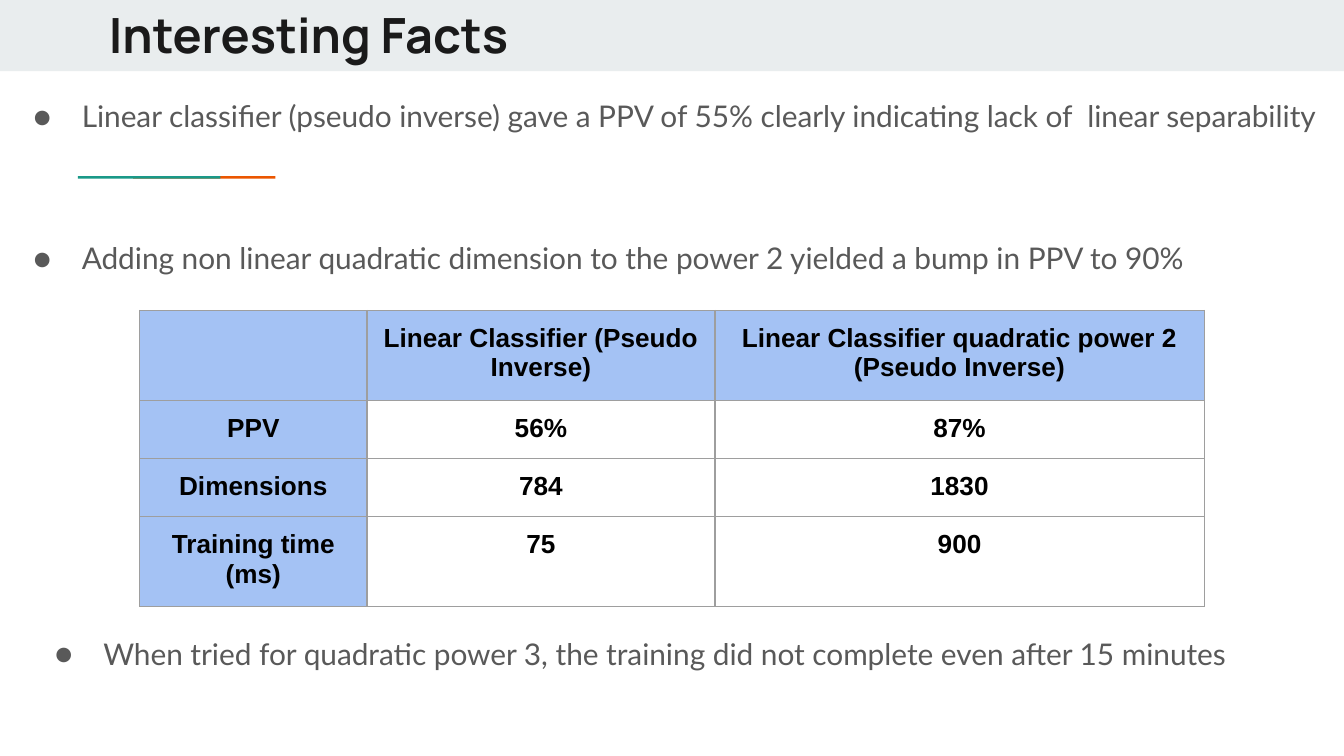
"""Build the Interesting Facts slide with its classifier comparison table."""
from dataclasses import dataclass
from typing import Any

import pptx
import pptx.dml.color
import pptx.enum.shapes
import pptx.enum.text
import pptx.oxml
import pptx.oxml.ns
import pptx.util
from pptx.util import Inches

RGBColor = pptx.dml.color.RGBColor
BAND = RGBColor(0xE9, 0xED, 0xEE)
ORANGE = RGBColor(0xEB, 0x56, 0x00)
GREEN = RGBColor(0x1A, 0x99, 0x88)
INK = RGBColor(0x1A, 0x1A, 0x1A)
GREY = RGBColor(0x59, 0x59, 0x59)
BLUE = RGBColor(0xA4, 0xC2, 0xF4)
WHITE = RGBColor(0xFF, 0xFF, 0xFF)
BLACK = RGBColor(0x00, 0x00, 0x00)
BORDER = RGBColor(0x9E, 0x9E, 0x9E)

TITLE_FONT = dict(name="Manrope", size=pptx.util.Pt(26), bold=True)
BODY_FONT = dict(name="Lato", size=pptx.util.Pt(16))
CELL_FONT = dict(name="Arial", size=pptx.util.Pt(14), bold=True)
MARGINS = {f"margin_{side}": Inches(0.1) for side in ("left", "top", "right", "bottom")}
ANCHORED = dict(vertical_anchor=pptx.enum.text.MSO_ANCHOR.TOP, **MARGINS)
FRAME = dict(word_wrap=True, **ANCHORED)


@dataclass
class Box:
    left: float
    top: float
    width: float
    height: float

    def emu(self) -> tuple:
        return tuple(Inches(v) for v in (self.left, self.top, self.width, self.height))


@dataclass
class Bar:
    box: Box
    color: RGBColor


@dataclass
class BulletList:
    box: Box
    items: list[str]


BARS = [
    Bar(Box(0, 0, 10, 0.53), BAND),
    Bar(Box(0.99, 1.31, 1.06, 0.02), ORANGE),
    Bar(Box(0.58, 1.31, 1.06, 0.02), GREEN),
]
TITLE_BOX = Box(0.71, -0.06, 8.41, 0.59)
FINDINGS = BulletList(Box(0.01, 0.59, 9.95, 1.49), [
    "Linear classifier (pseudo inverse) gave a PPV of 55% clearly indicating lack of  linear separability",
    "Adding non linear quadratic dimension to the power 2 yielded a bump in PPV to 90%",
])
LIMIT = BulletList(Box(0.17, 4.59, 9.95, 0.59), [
    "When tried for quadratic power 3, the training did not complete even after 15 minutes",
])
COLUMNS = [1.69, 2.59, 3.64]
ROW_HEIGHT = 0.42
ROWS = [
    ["", "Linear Classifier (Pseudo Inverse)", "Linear Classifier quadratic power 2 (Pseudo Inverse)"],
    ["PPV", "56%", "87%"],
    ["Dimensions", "784", "1830"],
    ["Training time (ms)", "75", "900"],
]


def apply(target: Any, values: dict) -> None:
    for key, value in values.items():
        setattr(target, key, value)


def add_run(p: Any, text: str, values: dict, color: RGBColor) -> None:
    r = p.add_run()
    r.text = text
    apply(r.font, values)
    r.font.color.rgb = color


def add_bar(s: Any, bar: Bar) -> None:
    sp = s.shapes.add_shape(pptx.enum.shapes.MSO_SHAPE.RECTANGLE, *bar.box.emu())
    sp.shadow.inherit = False
    sp.fill.solid()
    sp.fill.fore_color.rgb = bar.color
    sp.line.fill.background()


def add_title(s: Any, text: str) -> None:
    sp = s.shapes.title
    s.shapes._spTree.append(sp._element)
    apply(sp, dict(zip(("left", "top", "width", "height"), TITLE_BOX.emu())))
    tf = sp.text_frame
    apply(tf, FRAME)
    tf.auto_size = pptx.enum.text.MSO_AUTO_SIZE.NONE
    p = tf.paragraphs[0]
    p.alignment = pptx.enum.text.PP_ALIGN.LEFT
    add_run(p, text, TITLE_FONT, INK)


def add_bullets(s: Any, bullets: BulletList) -> None:
    ns = pptx.oxml.ns.nsdecls("a")
    tf = s.shapes.add_textbox(*bullets.box.emu()).text_frame
    apply(tf, FRAME)
    for i, text in enumerate(bullets.items):
        p = tf.add_paragraph() if i else tf.paragraphs[0]
        p.line_spacing = 1.15
        if i:
            p.space_before = pptx.util.Pt(54)
        pPr = p._p.get_or_add_pPr()
        pPr.set("marL", str(Inches(0.5)))
        pPr.set("indent", str(Inches(-0.36)))
        for xml in (
            f'<a:buClr {ns}><a:srgbClr val="{GREY}"/></a:buClr>',
            f'<a:buSzPts {ns} val="1600"/>',
            f'<a:buFont {ns} typeface="Lato"/>',
            f'<a:buChar {ns} char="●"/>',
        ):
            pPr.append(pptx.oxml.parse_xml(xml))
        add_run(p, text, BODY_FONT, GREY)


def style_cell(cell: Any, text: str, fill: RGBColor) -> None:
    apply(cell, ANCHORED)
    p = cell.text_frame.paragraphs[0]
    p.alignment = pptx.enum.text.PP_ALIGN.CENTER
    if text:
        add_run(p, text, CELL_FONT, BLACK)
    tcPr = cell._tc.get_or_add_tcPr()
    for side in ("lnL", "lnR", "lnT", "lnB"):
        tcPr.append(pptx.oxml.parse_xml(
            f'<a:{side} {pptx.oxml.ns.nsdecls("a")} w="{pptx.util.Pt(0.75)}">'
            f'<a:solidFill><a:srgbClr val="{BORDER}"/></a:solidFill></a:{side}>'))
    cell.fill.solid()
    cell.fill.fore_color.rgb = fill


def add_comparison(s: Any) -> None:
    box = Box(1.04, 2.31, sum(COLUMNS), ROW_HEIGHT * len(ROWS))
    table = s.shapes.add_table(len(ROWS), len(COLUMNS), *box.emu()).table
    for column, width in zip(table.columns, COLUMNS):
        column.width = Inches(width)
    for i, row in enumerate(table.rows):
        row.height = Inches(ROW_HEIGHT)
        for j, cell in enumerate(row.cells):
            style_cell(cell, ROWS[i][j], WHITE if i and j else BLUE)


def main() -> None:
    prs = pptx.Presentation()
    prs.slide_width, prs.slide_height = Inches(10), Inches(10) * 9 // 16
    s = prs.slides.add_slide(prs.slide_layouts[5])
    for bar in BARS:
        add_bar(s, bar)
    add_title(s, "Interesting Facts")
    add_bullets(s, FINDINGS)
    add_comparison(s)
    add_bullets(s, LIMIT)
    prs.save("out.pptx")


if __name__ == "__main__":
    main()
